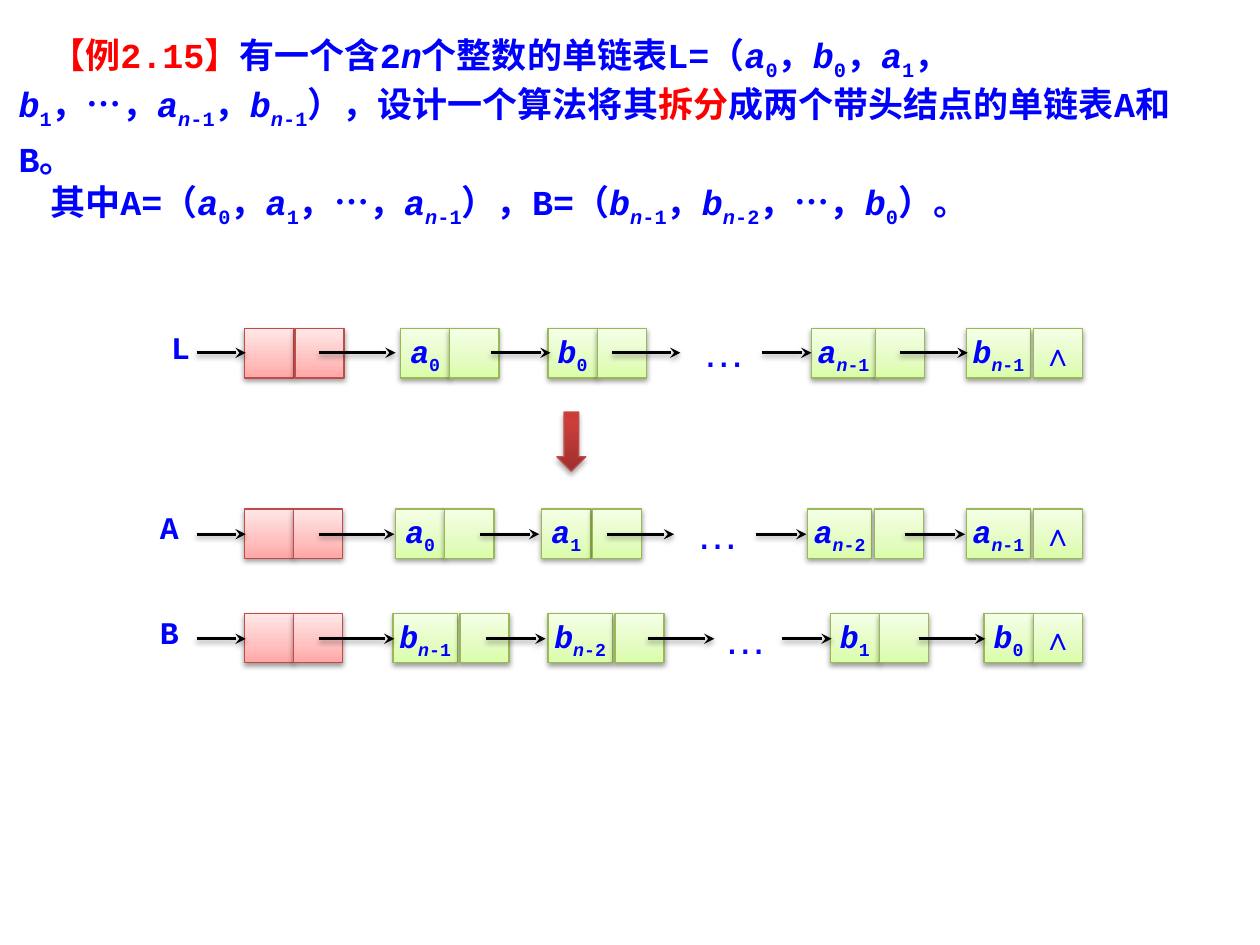
"""Build the slide on splitting one singly linked list into two."""
from dataclasses import dataclass

from lxml.etree import SubElement
from pptx import Presentation
from pptx.dml.color import RGBColor
from pptx.enum.shapes import MSO_CONNECTOR, MSO_SHAPE
from pptx.enum.text import MSO_ANCHOR, PP_ALIGN
from pptx.oxml.ns import qn
from pptx.util import Inches, Pt


@dataclass(frozen=True)
class Theme:
    """Colours, fonts and sizes of the slide."""
    text: str = "0000FF"
    accent: str = "FF0000"
    arrow: str = "000000"
    head: tuple = ("BF4C48", ((0, "FFA6A5"), (35, "FFC0BF"), (100, "FFE7E7")))
    node: tuple = ("98B955", ((0, "DAFDA7"), (35, "E4FCC2"), (100, "F5FFE7")))
    step: tuple = ("BF4C48", ((0, "9C2F2D"), (80, "CB3E3A"), (100, "CE3B37")))
    code: str = "Courier New"
    dots: str = "Arial"
    math: str = "Times New Roman"
    body: int = 20
    label: int = 18
    ellipsis: int = 24
    side: float = 0.39
    wide: float = 0.51


T = Theme()

LISTS = (
    dict(name="L", name_left=1.26, top=2.61, link_y=2.8, dots=(5.48, 2.61, 0.43),
         nodes=((1.94, 2.34, ""), (3.18, 3.57, "a0"), (4.35, 4.74, "b0"),
                (6.44, 6.95, "an-1"), (7.67, 8.2, "bn-1")),
         links=((1.56, 1.95), (2.53, 3.14), (3.9, 4.37), (4.86, 5.4),
                (6.05, 6.44), (7.14, 7.68))),
    dict(name="A", name_left=1.17, top=4.04, link_y=4.24, dots=(5.43, 4.06, 0.59),
         nodes=((1.94, 2.33, ""), (3.14, 3.53, "a0"), (4.3, 4.7, "a1"),
                (6.41, 6.94, "an-2"), (7.67, 8.2, "an-1")),
         links=((1.56, 1.95), (2.53, 3.13), (3.81, 4.28), (4.82, 5.35),
                (6, 6.4), (7.18, 7.66))),
    dict(name="B", name_left=1.17, top=4.87, link_y=5.07, dots=(5.65, 4.89, 0.55),
         nodes=((1.94, 2.33, ""), (3.12, 3.65, "bn-1"), (4.35, 4.88, "bn-2"),
                (6.59, 6.98, "b1"), (7.81, 8.2, "b0")),
         links=((1.56, 1.95), (2.53, 3.13), (3.86, 4.33), (5.14, 5.67),
                (6.21, 6.6), (7.29, 7.82))),
)


def term(name):
    """Return the runs of a letter with its index, such as an-1."""
    runs = [(name[0], dict(italic=True))]
    index = name[1:]
    if index.startswith("n"):
        runs.append(("n", dict(italic=True, sub=True)))
        index = index[1:]
    return runs + [(index, dict(sub=True))]


def sequence(names):
    """Return the runs of space-separated terms, joined by commas."""
    runs = []
    for i, name in enumerate(names.split()):
        if i:
            runs.append(("，", {}))
        runs += [("…", dict(font=T.dots))] if name == "…" else term(name)
    return runs


def add_run(p, text, size, font=T.code, color=T.text, bold=True,
            italic=False, sub=False):
    """Add one formatted run to a paragraph."""
    r = p.add_run()
    r.text = text
    r.font.size = Pt(size)
    r.font.name = font
    r.font.bold = bold
    r.font.italic = italic
    r.font.color.rgb = RGBColor.from_string(color)
    if sub:
        r.font._element.set("baseline", "-25000")


def write(sp, paragraphs, size=T.label, spacing=0.8, indent=0, align=None,
          anchor=MSO_ANCHOR.TOP, wrap=True, **run_format):
    """Fill a shape with paragraphs of (text, format) runs and line breaks."""
    tf = sp.text_frame
    tf.word_wrap = wrap
    tf.vertical_anchor = anchor
    for i, runs in enumerate(paragraphs):
        p = tf.add_paragraph() if i else tf.paragraphs[0]
        p.line_spacing = spacing
        p.alignment = align
        if indent:
            p._p.get_or_add_pPr().set("indent", str(Inches(indent)))
        for text, extra in runs:
            if text == "\n":
                p.add_line_break()
            else:
                add_run(p, text, size, **{**run_format, **extra})


def add_text(s, left, top, width, height, paragraphs, **text_format):
    """Add a text box."""
    box = s.shapes.add_textbox(*map(Inches, (left, top, width, height)))
    write(box, paragraphs, **text_format)


def add_shadow(sp, alpha=38, distance=1.6):
    """Give a shape or connector a soft shadow straight below."""
    effects = SubElement(sp._element.spPr, qn("a:effectLst"))
    shadow = SubElement(effects, qn("a:outerShdw"), blurRad=str(Pt(3.1)),
                        dist=str(Pt(distance)), dir="5400000", rotWithShape="0")
    color = SubElement(shadow, qn("a:srgbClr"), val="000000")
    SubElement(color, qn("a:alpha"), val=str(alpha * 1000))


def add_block(s, kind, left, top, width, height, style, **shadow):
    """Add an outlined shape with an upward gradient."""
    line, stops = style
    sp = s.shapes.add_shape(kind, *map(Inches, (left, top, width, height)))
    sp.fill.gradient()
    sp.fill.gradient_angle = 90
    stop_list = sp._element.spPr.find(".//" + qn("a:gsLst"))
    stop_list.clear()
    for position, color in stops:
        stop = SubElement(stop_list, qn("a:gs"), pos=str(position * 1000))
        SubElement(stop, qn("a:srgbClr"), val=color)
    sp.line.color.rgb = RGBColor.from_string(line)
    sp.line.width = Pt(0.75)
    add_shadow(sp, **shadow)
    return sp


def add_cell(s, left, top, width, style, runs=(), **text_format):
    """Add one field of a list node."""
    sp = add_block(s, MSO_SHAPE.RECTANGLE, left, top, width, T.side, style)
    if runs:
        write(sp, [runs], align=PP_ALIGN.CENTER, anchor=MSO_ANCHOR.MIDDLE,
              wrap=False, **text_format)


def add_arrow(s, start, end, y):
    """Add a horizontal link arrow."""
    line = s.shapes.add_connector(MSO_CONNECTOR.STRAIGHT,
                                  *map(Inches, (start, y, end, y)))
    line.line.color.rgb = RGBColor.from_string(T.arrow)
    line.line.width = Pt(1.5)
    SubElement(line.line._get_or_add_ln(), qn("a:tailEnd"), type="stealth")
    add_shadow(line)


def add_list(s, name, name_left, top, link_y, dots, nodes, links):
    """Add a linked list with its name, nodes, links and ellipsis."""
    add_text(s, name_left, top, 0.4, 0.35, [[(name, {})]])
    for left, pointer_left, label in nodes:
        style = T.node if label else T.head
        width = T.wide if "n" in label else T.side
        add_cell(s, left, top, width, style, term(label) if label else ())
        is_last = left == nodes[-1][0]
        add_cell(s, pointer_left, top, T.side, style,
                 [("∧", {})] if is_last else (), font=T.math, spacing=1.0)
    for start, end in links:
        add_arrow(s, start, end, link_y)
    dots_left, dots_top, dots_width = dots
    add_text(s, dots_left, dots_top, dots_width, 0.42, [[("…", {})]],
             size=T.ellipsis, font=T.dots, bold=False)


def add_problem(s):
    """Add the statement of the problem."""
    red = dict(color=T.accent)
    task = [("【例2.15】", red), ("有一个含2", {}), ("n", dict(italic=True)),
            ("个整数的单链表L=（", {}), *sequence("a0 b0 a1"), ("，", {}),
            ("\n", {}), *sequence("b1 … an-1 bn-1"),
            ("），设计一个算法将其", {}), ("拆分", red),
            ("成两个带头结点的单链表A和B。", {})]
    result = [("其中A=（", {}), *sequence("a0 a1 … an-1"), ("），B=（", {}),
              *sequence("bn-1 bn-2 … b0"), ("）。", {})]
    add_text(s, 0.05, 0.21, 9.53, 1.28, [task, result], size=T.body,
             spacing=Pt(28), indent=0.25)


def main():
    """Build and save the slide."""
    prs = Presentation()
    prs.slide_width, prs.slide_height = Inches(10), Inches(7.5)
    s = prs.slides.add_slide(prs.slide_layouts[6])
    add_problem(s)
    for linked_list in LISTS:
        add_list(s, **linked_list)
    add_block(s, MSO_SHAPE.DOWN_ARROW, 4.42, 3.27, 0.23, 0.47, T.step,
              alpha=35, distance=1.8)
    prs.save("out.pptx")


if __name__ == "__main__":
    main()
